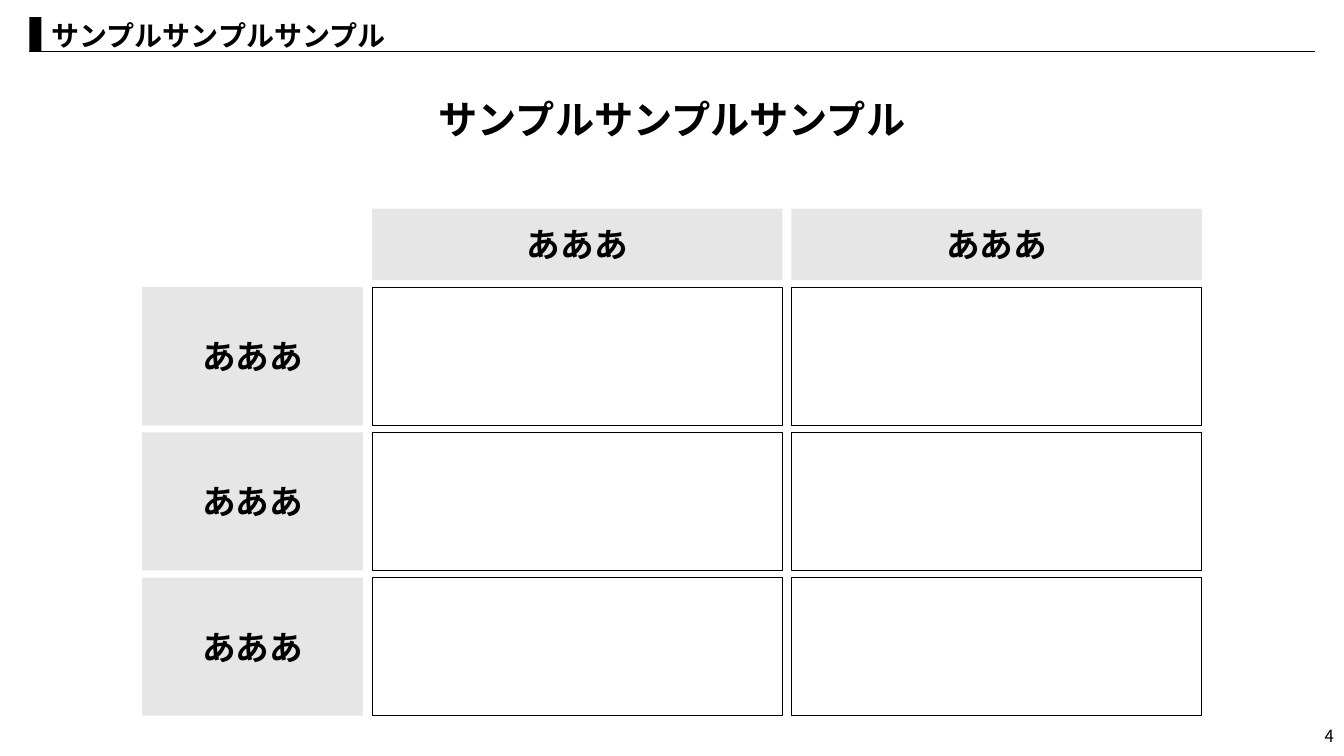
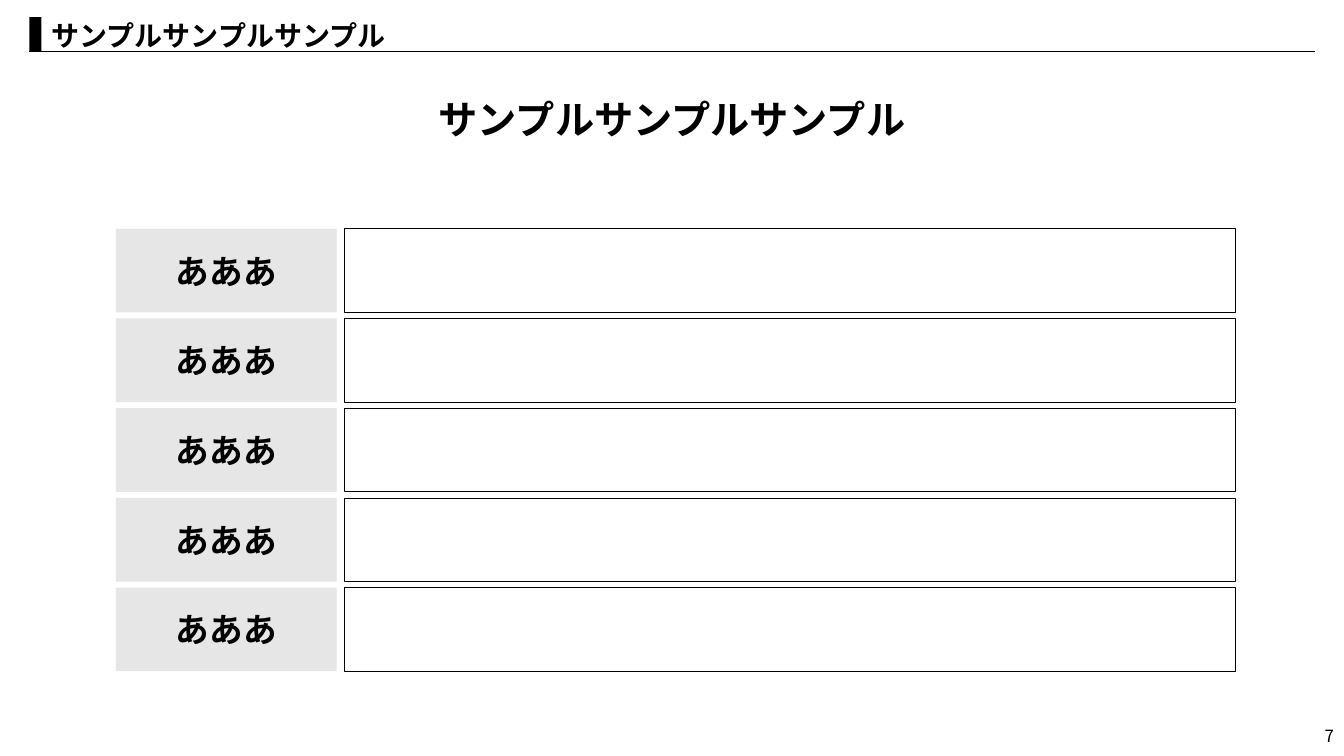
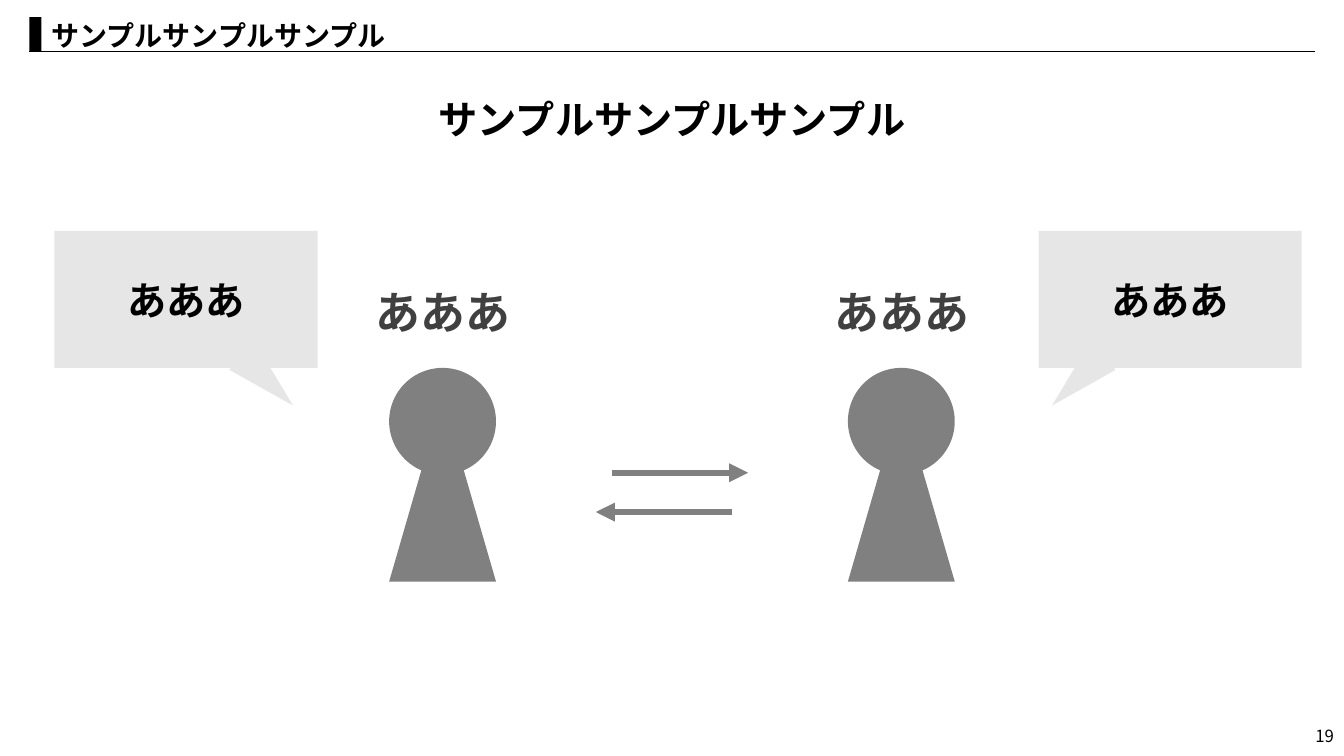
from dataclasses import dataclass

from lxml import etree
from pptx import Presentation
from pptx import util as u
from pptx.dml.color import RGBColor
from pptx.enum import shapes, text
from pptx.oxml.ns import qn

PX = 9144  # EMU per px, 100 px to the inch
TITLE = "サンプルサンプルサンプル"
HEADLINE = "サンプルサンプルサンプル"
LABEL = "あああ"
RECTANGLE = shapes.MSO_SHAPE.RECTANGLE
OVAL = shapes.MSO_SHAPE.OVAL
TRIANGLE = shapes.MSO_SHAPE.ISOSCELES_TRIANGLE


@dataclass(frozen=True)
class Theme:
    font: str = "Noto Sans CJK JP"
    ink: str = "000000"
    panel: str = "E7E6E6"
    figure: str = "808080"
    figure_label: str = "404040"
    number_size: int = 12
    title_size: int = 20
    label_size: int = 24
    headline_size: int = 28
    name_size: int = 32
    hairline: float = 0.5
    arrow: float = 4.5


THEME = Theme()


def px(*lengths):
    return [u.Emu(length * PX) for length in lengths]


# Text
def write(shape, content, size, color=THEME.ink, bold=True,
          align=text.PP_ALIGN.CENTER, wrap=True):
    frame = shape.text_frame
    frame.text = content
    frame.word_wrap = wrap
    frame.auto_size = text.MSO_AUTO_SIZE.NONE
    frame.vertical_anchor = text.MSO_ANCHOR.MIDDLE
    frame.margin_left = frame.margin_right = px(10)[0]
    frame.margin_top = frame.margin_bottom = 0
    paragraph = frame.paragraphs[0]
    paragraph.alignment = align
    for run in paragraph.runs:
        run.font.size = u.Pt(size)
        run.font.bold = bold
        run.font.name = THEME.font
        run.font.color.rgb = RGBColor.from_string(color)
        east_asian = etree.SubElement(run._r.get_or_add_rPr(), qn("a:ea"))
        east_asian.set("typeface", THEME.font)


def add_text(slide, box, content, size, **style):
    write(slide.shapes.add_textbox(*px(*box)), content, size, **style)


# Shapes and lines
def add_filled(container, kind, box, color, rotation=0):
    shape = container.shapes.add_shape(kind, *px(*box))
    shape.shadow.inherit = False
    shape.fill.solid()
    shape.fill.fore_color.rgb = RGBColor.from_string(color)
    shape.line.fill.background()
    shape.rotation = rotation
    return shape


def add_label(slide, box, size=THEME.label_size):
    write(add_filled(slide, RECTANGLE, box, THEME.panel), LABEL, size)


def add_frame(slide, box):
    shape = slide.shapes.add_shape(RECTANGLE, *px(*box))
    shape.shadow.inherit = False
    shape.fill.background()
    shape.line.color.rgb = RGBColor.from_string(THEME.ink)
    shape.line.width = u.Pt(THEME.hairline)


def add_line(container, ends, color, width, arrow=False):
    connector = container.shapes.add_connector(
        shapes.MSO_CONNECTOR.STRAIGHT, *px(*ends))
    connector.line.color.rgb = RGBColor.from_string(color)
    connector.line.width = u.Pt(width)
    properties = connector._element.spPr
    if arrow:
        head = etree.SubElement(properties.find(qn("a:ln")), qn("a:tailEnd"))
        head.set("type", "triangle")
    etree.SubElement(properties, qn("a:effectLst"))


# Shared slide furniture
def add_slide(presentation, number):
    slide = presentation.slides.add_slide(presentation.slide_layouts[5])
    title = slide.shapes.title
    title.left, title.top, title.width, title.height = px(41, 13, 1268, 44)
    write(title, TITLE, THEME.title_size, align=text.PP_ALIGN.LEFT)
    add_filled(slide, RECTANGLE, (29, 17, 12, 34), THEME.ink)
    add_line(slide, (29, 51, 1304, 51), THEME.ink, THEME.hairline)
    add_text(slide, (421, 89, 491, 57), HEADLINE, THEME.headline_size,
             wrap=False)
    add_text(slide, (1033, 710, 300, 40), str(number), THEME.number_size,
             bold=False, align=text.PP_ALIGN.RIGHT)
    return slide


# Labelled rows with one or more framed columns
def add_rows(slide, label_left, columns, column_width, tops, height):
    for top in tops:
        add_label(slide, (label_left, top, 219, height))
        for left in columns:
            add_frame(slide, (left, top, column_width, height))


# Dialogue parts
def add_person(slide, left):
    person = slide.shapes.add_group_shape()
    add_filled(person, OVAL, (left, 365, 106, 106), THEME.figure)
    add_filled(person, TRIANGLE, (left, 394, 106, 183), THEME.figure)
    add_text(slide, (left - 60, 277, 227, 64), LABEL, THEME.name_size,
             color=THEME.figure_label)


def add_bubble(slide, left, tail_left, rotation):
    add_label(slide, (left, 229, 261, 136), THEME.headline_size)
    add_filled(slide, TRIANGLE, (tail_left, 343, 37, 70), THEME.panel,
               rotation)


def build_matrix(presentation):
    slide = add_slide(presentation, 4)
    columns = [369 + 416 * column for column in range(2)]
    for left in columns:
        add_label(slide, (left, 207, 407, 71))
    add_rows(slide, 141, columns, 407, range(285, 285 + 3 * 144, 144), 137)


def build_list(presentation):
    slide = add_slide(presentation, 7)
    add_rows(slide, 115, [342], 883, range(227, 227 + 5 * 89, 89), 83)


def build_dialogue(presentation):
    slide = add_slide(presentation, 19)
    for left in (386, 841):
        add_person(slide, left)
    arrows = slide.shapes.add_group_shape()
    for ends in ((726, 508, 591, 508), (607, 469, 742, 469)):
        add_line(arrows, ends, THEME.figure, THEME.arrow, arrow=True)
    add_bubble(slide, 54, 247, 134.1)
    add_bubble(slide, 1030, 1050, 225.9)


def main():
    presentation = Presentation()
    presentation.slide_width, presentation.slide_height = px(1333, 750)
    build_matrix(presentation)
    build_list(presentation)
    build_dialogue(presentation)
    presentation.save("out.pptx")


if __name__ == "__main__":
    main()
